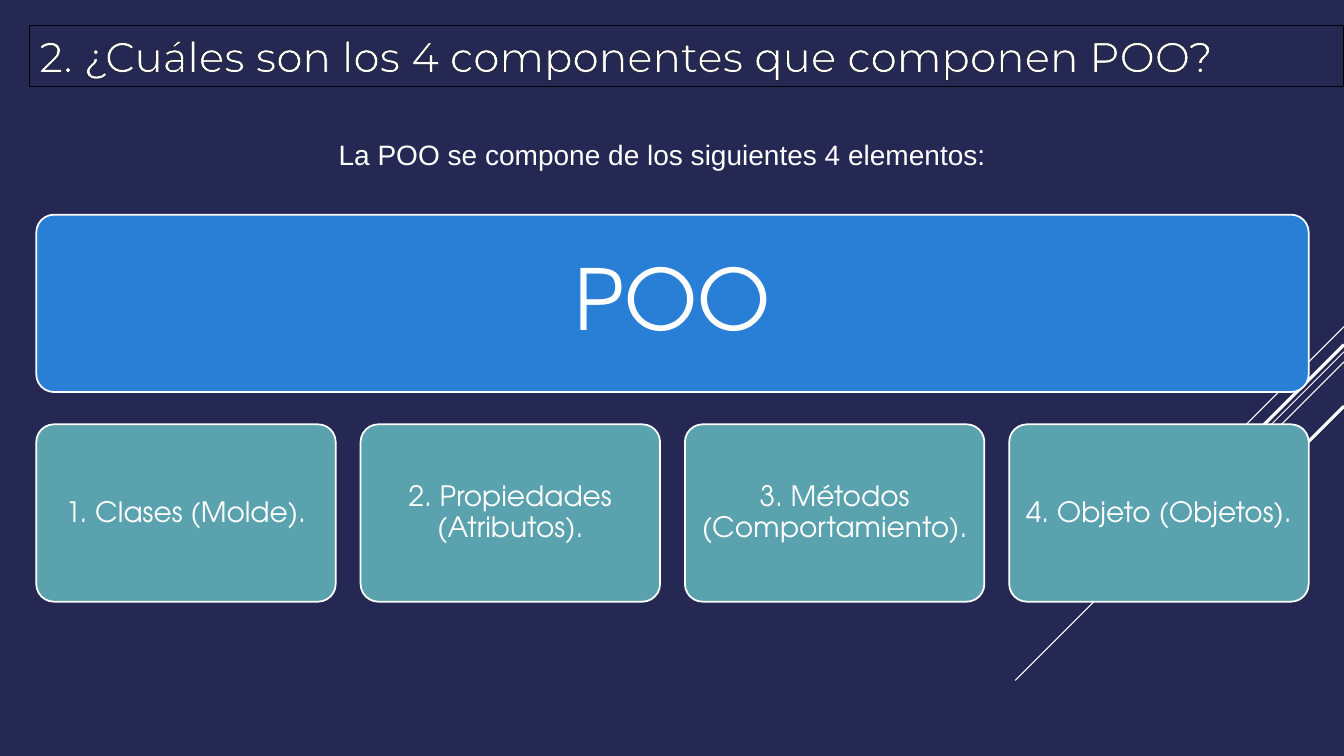
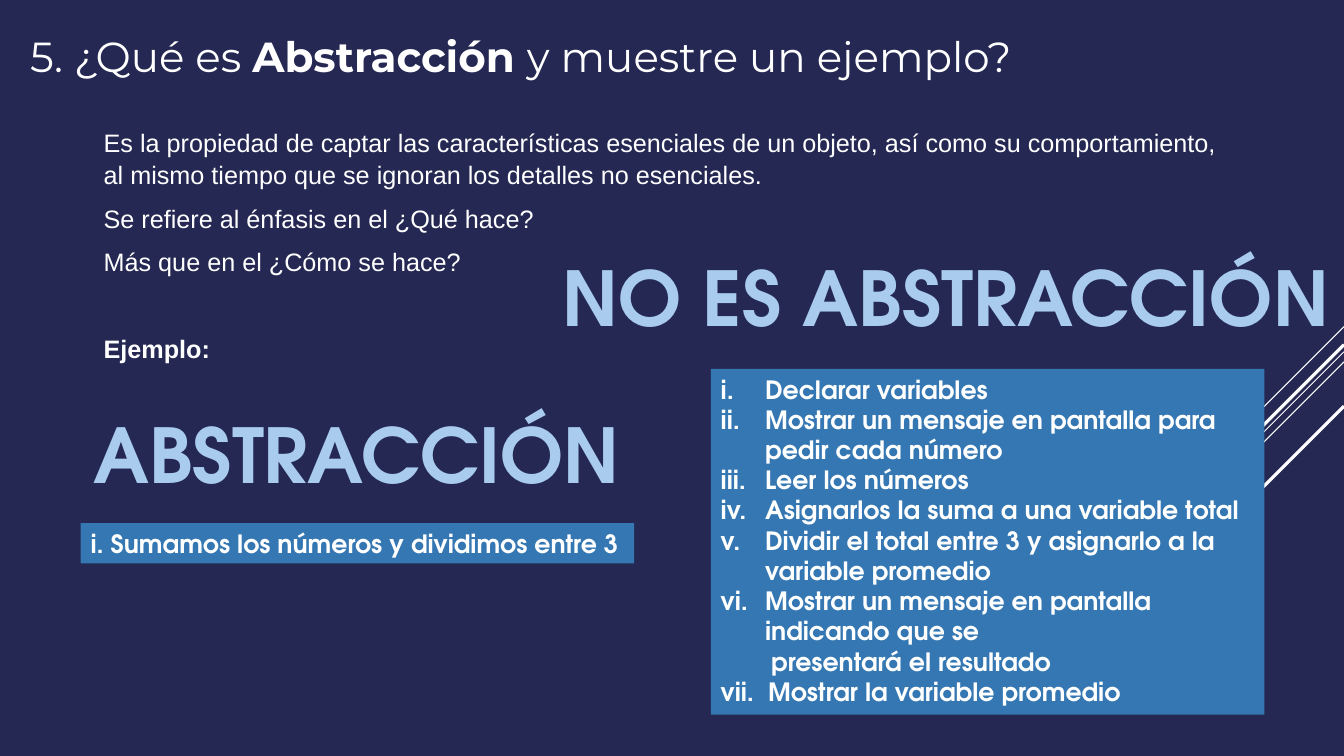
from lxml import etree
from pptx import Presentation
from pptx.dml.color import RGBColor
from pptx.enum.shapes import MSO_CONNECTOR, MSO_SHAPE
from pptx.enum.text import MSO_ANCHOR, MSO_AUTO_SIZE, PP_ALIGN
from pptx.oxml.ns import qn
from pptx.util import Inches, Pt

RECTANGLE, ROUNDED = MSO_SHAPE.RECTANGLE, MSO_SHAPE.ROUNDED_RECTANGLE
STRAIGHT = MSO_CONNECTOR.STRAIGHT
TOP, MIDDLE = MSO_ANCHOR.TOP, MSO_ANCHOR.MIDDLE
LEFT, CENTER = PP_ALIGN.LEFT, PP_ALIGN.CENTER
NO_AUTOSIZE = MSO_AUTO_SIZE.NONE

COLORS = {
    "background": "242852",
    "text": "FFFFFF",
    "outline": "000000",
    "banner": "297FD5",
    "card": "5AA2AE",
    "panel": "3477B2",
    "heading": "A9CCEE",
}
TITLE_FONT, BODY_FONT, DISPLAY_FONT = "Montserrat", "Arial", "TeX Gyre Adventor"
SLIDE_WIDTH, SLIDE_HEIGHT = 13.33, 7.5

# Diagonals falling at 45 degrees from the right edge: top, length, line width
DIAGONALS = [
    (3.24, 1.0, 0.75),
    (3.49, 3.26, 0.75),
    (3.59, 2.07, 0.75),
    (3.42, 1.91, 2.25),
    (4.03, 1.39, 2.25),
]


def color(name):
    return RGBColor.from_string(COLORS[name])


def write_text(frame, paragraphs, font=BODY_FONT, size=18, fill="text", bold=False,
               align=LEFT, anchor=TOP, line_spacing=None, space_after=0,
               inset=(0.1, 0.05), wrap=True):
    """Fill a frame; each paragraph is a string or a list of (text, bold) runs."""
    frame.word_wrap = wrap
    frame.auto_size = NO_AUTOSIZE
    frame.vertical_anchor = anchor
    frame.margin_left = frame.margin_right = Inches(inset[0])
    frame.margin_top = frame.margin_bottom = Inches(inset[1])
    for index, content in enumerate(paragraphs):
        paragraph = frame.add_paragraph() if index else frame.paragraphs[0]
        paragraph.alignment = align
        paragraph.line_spacing = line_spacing
        paragraph.space_after = Pt(space_after)
        runs = [(content, bold)] if isinstance(content, str) else content
        for text, run_bold in runs:
            run = paragraph.add_run()
            run.text = text
            run.font.name = font
            run.font.size = Pt(size)
            run.font.bold = run_bold
            run.font.color.rgb = color(fill)


def place(shape, box):
    shape.left, shape.top, shape.width, shape.height = map(Inches, box)


def add_text(slide, box, paragraphs, **text_format):
    textbox = slide.shapes.add_textbox(*map(Inches, box))
    write_text(textbox.text_frame, paragraphs, **text_format)
    return textbox


def add_block(slide, kind, box, fill, paragraphs, border=None, **text_format):
    shape = slide.shapes.add_shape(kind, *map(Inches, box))
    shape.shadow.inherit = False
    shape.fill.solid()
    shape.fill.fore_color.rgb = color(fill)
    if border:
        shape.line.color.rgb = color(border)
        shape.line.width = Pt(1.25)
    else:
        shape.line.fill.background()
    write_text(shape.text_frame, paragraphs, **text_format)
    return shape


def add_diagonals(slide):
    for top, length, width in DIAGONALS:
        line = slide.shapes.add_connector(
            STRAIGHT, Inches(SLIDE_WIDTH), Inches(top),
            Inches(SLIDE_WIDTH - length), Inches(top + length))
        line.line.color.rgb = color("text")
        line.line.width = Pt(width)
        etree.SubElement(line._element.spPr, qn("a:effectLst"))


def add_titled_slide(presentation, box, title_runs):
    slide = presentation.slides.add_slide(presentation.slide_layouts[5])
    place(slide.shapes.title, box)
    write_text(slide.shapes.title.text_frame, [title_runs], font=TITLE_FONT, size=30)
    add_diagonals(slide)
    return slide


def outline_title(title):
    """Draw a thin line around the title box and its letters."""
    title.line.color.rgb = color("outline")
    title.line.width = Pt(0.75)
    for run in title.text_frame.paragraphs[0].runs:
        outline = etree.Element(qn("a:ln"), w=str(Pt(0.75)))
        solid = etree.SubElement(outline, qn("a:solidFill"))
        etree.SubElement(solid, qn("a:srgbClr"), val=COLORS["outline"])
        run.font._element.insert(0, outline)


def indent(paragraph, margin, number_from=None):
    """Set the left margin, with a hanging Roman number if one is given."""
    properties = paragraph._p.get_or_add_pPr()
    properties.set("marL", str(Inches(margin)))
    if number_from:
        properties.set("indent", str(-Inches(margin)))
        number = etree.Element(qn("a:buAutoNum"), type="romanLcPeriod")
        if number_from > 1:
            number.set("startAt", str(number_from))
        properties.append(number)


def add_component_blocks(slide, box, banner, cards):
    """Stack a full-width banner over a row of equal cards."""
    left, top, width, height = box
    block_height, card_width = 1.76, 2.97
    card_step = (width - card_width) / (len(cards) - 1)
    card_top = top + height - block_height
    blocks = [((left, top, width, block_height), "banner", banner, 60, 0.25)]
    for index, card in enumerate(cards):
        card_box = (left + index * card_step, card_top, card_width, block_height)
        blocks.append((card_box, "card", card, 20, 0.08))
    for block_box, fill, text, size, inset in blocks:
        block = add_block(slide, ROUNDED, block_box, fill, [text], border="text",
                          font=DISPLAY_FONT, size=size, align=CENTER, anchor=MIDDLE,
                          line_spacing=0.9, inset=(inset, inset))
        block.adjustments[0] = 0.1


def add_steps_panel(slide, box, steps):
    """Place numbered steps; the sixth continues on an unnumbered line."""
    panel = add_block(slide, RECTANGLE, box, "panel", steps,
                      font=DISPLAY_FONT, bold=True)
    paragraphs = panel.text_frame.paragraphs
    for paragraph in paragraphs[:-2]:
        indent(paragraph, 0.44, number_from=1)
    indent(paragraphs[-2], 0.5)
    indent(paragraphs[-1], 0.47, number_from=7)


def add_heading(slide, box, text):
    add_text(slide, box, [text], font=DISPLAY_FONT, size=54, fill="heading",
             bold=True, align=CENTER, wrap=False)


def build_components_slide(presentation):
    slide = add_titled_slide(
        presentation, (0.29, 0.25, 13.04, 0.61),
        [("2. ¿Cuáles son los 4 componentes que componen POO?", False)])
    outline_title(slide.shapes.title)
    add_text(slide, (3.26, 1.15, 7.11, 0.54),
             ["La POO se compone de los siguientes 4 elementos:"],
             size=20, line_spacing=1.5)
    add_component_blocks(slide, (0.36, 2.13, 12.62, 3.84), "POO", [
        "1. Clases (Molde).",
        "2. Propiedades (Atributos).",
        "3. Métodos (Comportamiento).",
        "4. Objeto (Objetos).",
    ])


def build_abstraction_slide(presentation):
    slide = add_titled_slide(
        presentation, (0.2, 0.25, 11.31, 0.61),
        [("5. ¿Qué es ", False), ("Abstracción ", True),
         ("y muestre un ejemplo?", False)])
    definition = add_text(slide, (0.93, 1.19, 11.48, 2.47), [
        "Es la propiedad de captar las características esenciales de un objeto, "
        "así como su comportamiento, al mismo tiempo que se ignoran los detalles "
        "no esenciales.",
        "Se refiere al énfasis en el ¿Qué hace?",
        "Más que en el ¿Cómo se hace?",
        [("Ejemplo:", True)],
    ], line_spacing=1.07, space_after=8)
    definition.text_frame.paragraphs[-1].space_before = Pt(31)

    add_block(slide, RECTANGLE, (0.8, 5.19, 5.49, 0.4), "panel",
              ["i. Sumamos los números y dividimos entre 3"],
              font=DISPLAY_FONT, bold=True, wrap=False)
    add_steps_panel(slide, (7.05, 3.66, 5.49, 3.43), [
        "Declarar variables",
        "Mostrar un mensaje en pantalla para pedir cada número",
        "Leer los números",
        "Asignarlos la suma a una variable total",
        "Dividir el total entre 3 y asignarlo a la variable promedio",
        "Mostrar un mensaje en pantalla indicando que se",
        "presentará el resultado",
        "Mostrar la variable promedio",
    ])
    add_heading(slide, (0.78, 4, 5.51, 1.01), "ABSTRACCIÓN")
    add_heading(slide, (5.42, 2.44, 7.92, 1.01), "NO ES ABSTRACCIÓN")


def main():
    presentation = Presentation()
    presentation.slide_width = Inches(SLIDE_WIDTH)
    presentation.slide_height = Inches(SLIDE_HEIGHT)
    background = presentation.slide_master.background.fill
    background.solid()
    background.fore_color.rgb = color("background")
    build_components_slide(presentation)
    build_abstraction_slide(presentation)
    presentation.save("out.pptx")


if __name__ == "__main__":
    main()
